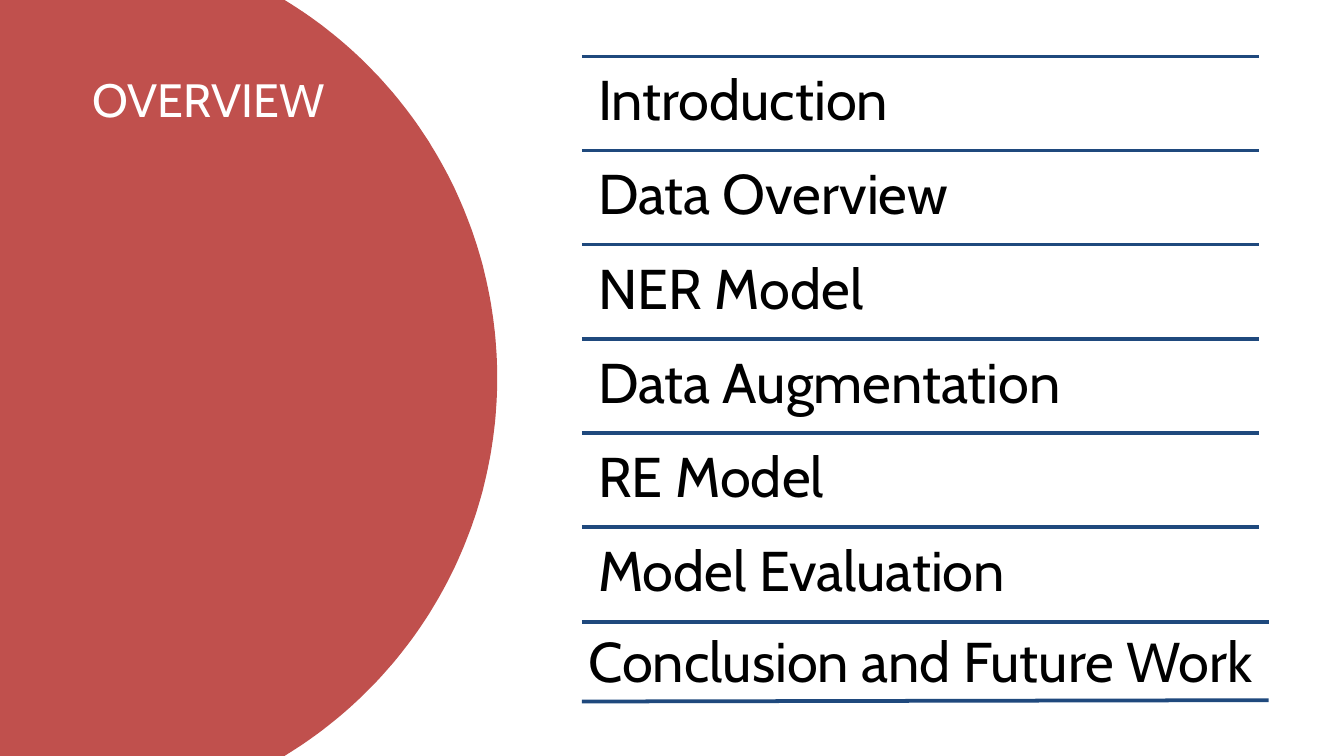
from dataclasses import dataclass
from math import asin, cos, sin

from lxml.etree import SubElement
from pptx import Presentation
from pptx.dml.color import RGBColor
from pptx.enum.shapes import MSO_CONNECTOR
from pptx.enum.text import MSO_ANCHOR, MSO_AUTO_SIZE
from pptx.oxml.ns import qn
from pptx.slide import Slide
from pptx.text.text import TextFrame
from pptx.util import Inches, Pt

COLORS = {"disc": "C0504D", "rule": "1F497D", "title": "FFFFFF", "topic": "000000"}
FONT = "Cabin"
WIDTH = 10
HEIGHT = WIDTH * 9 / 16
TOPICS = ["Introduction", "Data Overview", "NER Model",
          "Data Augmentation", "RE Model", "Model Evaluation"]
LIST_LEFT, LIST_TOP, LIST_WIDTH, ROW_HEIGHT = 4.33, 0.42, 5.04, 0.7


@dataclass(frozen=True)
class Rule:
    left: float
    top: float
    right: float
    bottom: float


@dataclass(frozen=True)
class Label:
    text: str
    left: float
    top: float
    width: float
    height: float
    size: float = 30
    color: str = "topic"
    inset: float = 0.12


def draw_disc(slide: Slide, center_x: float, radius: float, steps: int = 120) -> None:
    middle = HEIGHT / 2
    sweep = asin(middle / radius)
    angles = [sweep * (2 * step / steps - 1) for step in range(steps + 1)]
    arc = [(center_x + radius * cos(angle), middle + radius * sin(angle)) for angle in angles]
    builder = slide.shapes.build_freeform(0, 0, scale=Inches(1) / 1000)
    builder.add_line_segments([(x * 1000, y * 1000) for x, y in arc + [(0, HEIGHT)]], close=True)
    disc = builder.convert_to_shape()
    disc.shadow.inherit = False
    disc.fill.solid()
    disc.fill.fore_color.rgb = RGBColor.from_string(COLORS["disc"])
    disc.line.fill.background()


def draw_rule(slide: Slide, rule: Rule) -> None:
    line = slide.shapes.add_connector(
        MSO_CONNECTOR.STRAIGHT, Inches(rule.left), Inches(rule.top),
        Inches(rule.right), Inches(rule.bottom))
    line.line.color.rgb = RGBColor.from_string(COLORS["rule"])
    line.line.width = Pt(2)
    SubElement(line._element.spPr, qn("a:effectLst"))


def draw_label(slide: Slide, label: Label) -> TextFrame:
    box = slide.shapes.add_textbox(
        Inches(label.left), Inches(label.top), Inches(label.width), Inches(label.height))
    frame = box.text_frame
    frame.word_wrap = True
    frame.vertical_anchor = MSO_ANCHOR.TOP
    frame.margin_left = frame.margin_right = Inches(label.inset)
    frame.margin_top = frame.margin_bottom = Inches(label.inset)
    run = frame.paragraphs[0].add_run()
    run.text = label.text
    run.font.name = FONT
    run.font.size = Pt(label.size)
    run.font.color.rgb = RGBColor.from_string(COLORS[label.color])
    return frame


def main() -> None:
    """Build the overview slide with its list of topics."""
    presentation = Presentation()
    presentation.slide_width, presentation.slide_height = Inches(WIDTH), Inches(HEIGHT)
    slide = presentation.slides.add_slide(presentation.slide_layouts[6])

    draw_disc(slide, center_x=0.41, radius=3.29)
    draw_label(slide, Label("OVERVIEW", 0.69, 0.53, 2.42, 4.57, 25, "title", 0))

    for row, topic in enumerate(TOPICS):
        top = LIST_TOP + row * ROW_HEIGHT
        draw_rule(slide, Rule(LIST_LEFT, top, LIST_LEFT + LIST_WIDTH, top))
        entry = draw_label(slide, Label(topic, LIST_LEFT, top, LIST_WIDTH, ROW_HEIGHT))
        entry.paragraphs[0].line_spacing = 0.9

    draw_rule(slide, Rule(LIST_LEFT, 4.63, 9.44, 4.63))
    draw_rule(slide, Rule(LIST_LEFT, 5.22, 9.44, 5.21))
    conclusion = draw_label(
        slide, Label("Conclusion and Future Work", 4.28, 4.61, 5.15, 0.61, inset=0.1))
    conclusion.margin_top = conclusion.margin_bottom = Inches(0.05)
    conclusion.word_wrap = False
    conclusion.auto_size = MSO_AUTO_SIZE.SHAPE_TO_FIT_TEXT

    presentation.save("out.pptx")


if __name__ == "__main__":
    main()
